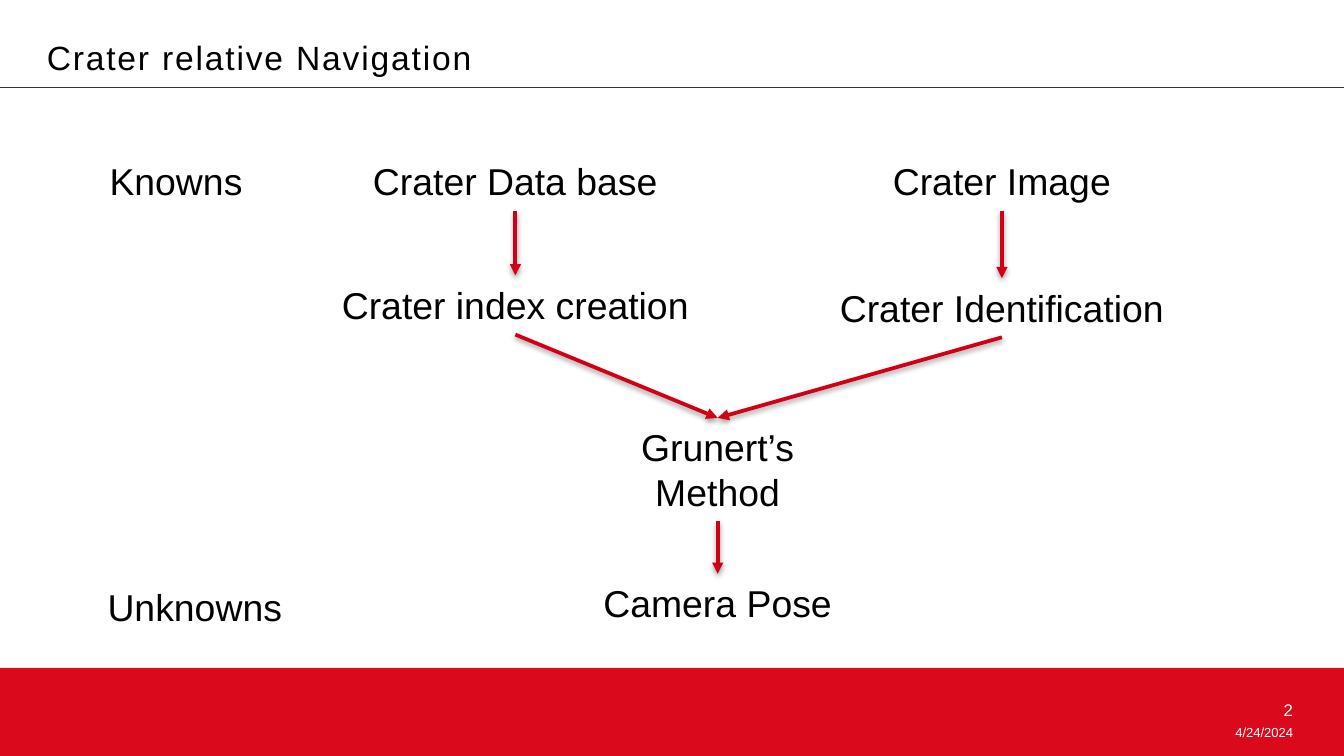
import lxml.etree
import pptx
import pptx.dml.color
import pptx.enum.shapes
import pptx.enum.text
import pptx.oxml.ns
import pptx.util
from dataclasses import dataclass

Inches = pptx.util.Inches
Pt = pptx.util.Pt
Align = pptx.enum.text.PP_ALIGN
Anchor = pptx.enum.text.MSO_ANCHOR
AutoSize = pptx.enum.text.MSO_AUTO_SIZE
qn = pptx.oxml.ns.qn

PAGE_WIDTH = 10
PAGE_HEIGHT = PAGE_WIDTH * 9 / 16


@dataclass(frozen=True)
class Theme:
    font: str = "Arial"
    ink: str = "000000"
    paper: str = "FFFFFF"
    band: str = "DB091C"
    arrow: str = "D00016"
    rule: str = "333333"
    title_size: int = 18
    label_size: int = 20
    number_size: int = 9
    date_size: int = 7


def rgb(value):
    return pptx.dml.color.RGBColor.from_string(value)


def set_all(target, values):
    for name, value in values.items():
        setattr(target, name, value)


def add_xml(parent, tag, **attributes):
    values = {name: str(value) for name, value in attributes.items()}
    return lxml.etree.SubElement(parent, qn(tag), values)


class SlideBuilder:
    def __init__(self, page, theme):
        self.page = page
        self.theme = theme

    def band(self, left, top, width, height):
        box = self.page.shapes.add_shape(
            pptx.enum.shapes.MSO_SHAPE.RECTANGLE,
            Inches(left), Inches(top), Inches(width), Inches(height))
        box.shadow.inherit = False
        box.fill.solid()
        box.fill.fore_color.rgb = rgb(self.theme.band)
        box.line.fill.background()

    def text(self, words, left, top, width, height, size, color,
             align=Align.LEFT, anchor=Anchor.TOP, fit=AutoSize.NONE, tracking=0):
        """Add a text box; tracking is letter spacing in points."""
        box = self.page.shapes.add_textbox(
            Inches(left), Inches(top), Inches(width), Inches(height))
        set_all(box.text_frame, {
            "word_wrap": True, "auto_size": fit, "vertical_anchor": anchor})
        para = box.text_frame.paragraphs[0]
        para.alignment = align
        span = para.add_run()
        span.text = words
        set_all(span.font, {"name": self.theme.font, "size": Pt(size)})
        span.font.color.rgb = rgb(color)
        if tracking:
            span._r.get_or_add_rPr().set("spc", str(tracking * 100))
        return box

    def label(self, words, left, top, width, height=0.44):
        return self.text(words, left, top, width, height, self.theme.label_size,
                         self.theme.ink, Align.CENTER,
                         fit=AutoSize.SHAPE_TO_FIT_TEXT)

    def line(self, start, end, color, weight):
        """Add a straight line and return it with its empty effect list."""
        connector = self.page.shapes.add_connector(
            pptx.enum.shapes.MSO_CONNECTOR.STRAIGHT,
            *(Inches(value) for value in (*start, *end)))
        connector.line.color.rgb = rgb(color)
        connector.line.width = Pt(weight)
        return connector, add_xml(connector._element.spPr, "a:effectLst")

    def arrow(self, source, target):
        """Join the bottom of one box to the top of another."""
        connector, effects = self.line((0, 0), (1, 1), self.theme.arrow, 2)
        connector.begin_connect(source, 2)
        connector.end_connect(target, 0)
        add_xml(connector._element.spPr.find(qn("a:ln")), "a:tailEnd",
                type="triangle")
        shadow = add_xml(effects, "a:outerShdw", blurRad=Pt(3.1), dist=Pt(1.6),
                         dir=90 * 60000, rotWithShape=0)
        shade = add_xml(shadow, "a:srgbClr", val=self.theme.ink)
        add_xml(shade, "a:alpha", val=38000)


def main():
    deck = pptx.Presentation()
    set_all(deck, {"slide_width": Inches(PAGE_WIDTH),
                   "slide_height": Inches(PAGE_HEIGHT)})
    theme = Theme()
    slide = SlideBuilder(deck.slides.add_slide(deck.slide_layouts[6]), theme)

    slide.band(0, 4.97, PAGE_WIDTH, PAGE_HEIGHT - 4.97)
    for words, top, size in (("4/24/2024", 5.34, theme.date_size),
                             ("2", 5.16, theme.number_size)):
        slide.text(words, 7.39, top, 2.33, 0.1, size, theme.paper, Align.RIGHT)
    slide.line((0, 0.65), (PAGE_WIDTH, 0.65), theme.rule, 0.5)
    slide.text("Crater relative Navigation", 0.25, 0.21, 9.1, 0.43,
               theme.title_size, theme.ink, anchor=Anchor.MIDDLE, tracking=1)

    slide.label("Knowns", 0.57, 1.13, 1.48)
    slide.label("Unknowns", 0.57, 4.3, 1.76)
    database = slide.label("Crater Data base", 2.33, 1.13, 3.01)
    image = slide.label("Crater Image", 5.95, 1.13, 3.01)
    index = slide.label("Crater index creation", 2.33, 2.05, 3.01)
    identification = slide.label("Crater Identification", 5.95, 2.07, 3.01)
    method = slide.label("Grunert’s Method", 4.46, 3.11, 1.76, 0.77)
    pose = slide.label("Camera Pose", 4.14, 4.27, 2.4)

    for source, target in ((database, index), (image, identification),
                           (identification, method), (index, method),
                           (method, pose)):
        slide.arrow(source, target)

    deck.save("out.pptx")


if __name__ == "__main__":
    main()
